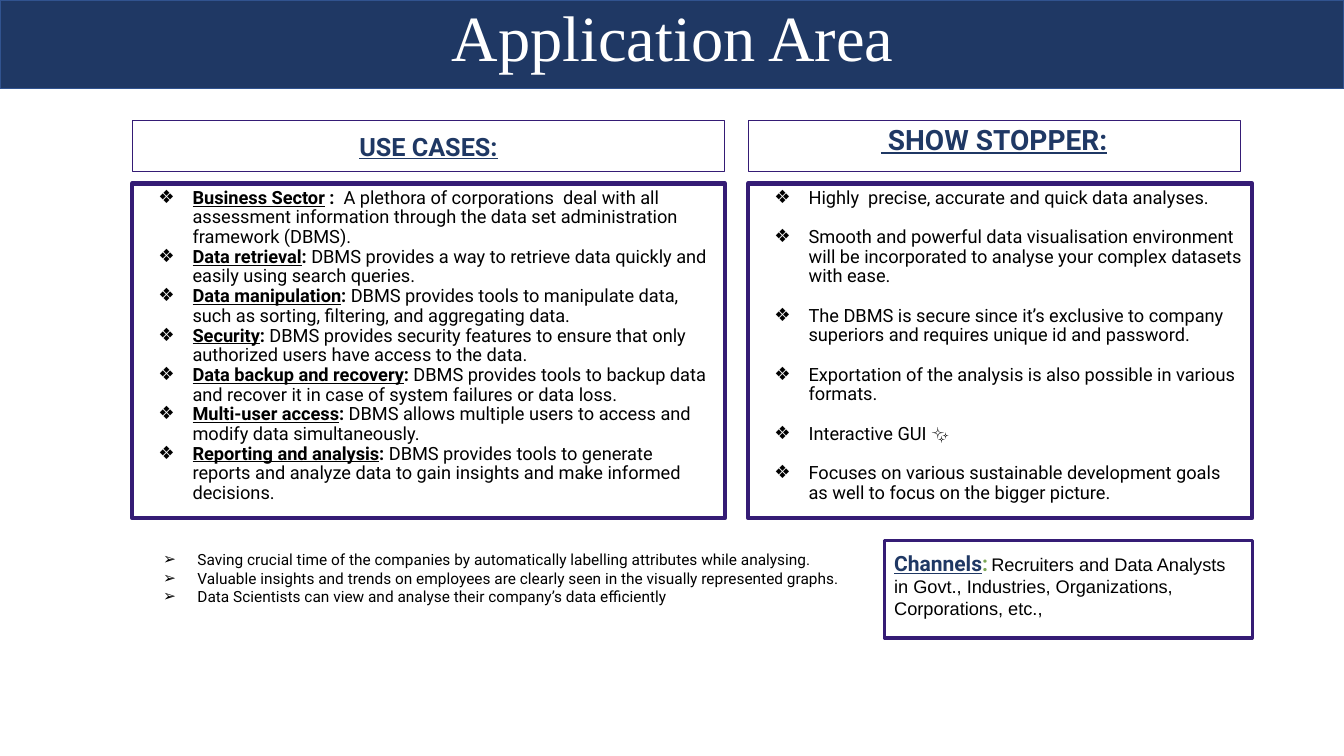
from pptx import Presentation
from pptx.dml.color import RGBColor
from pptx.enum.shapes import MSO_SHAPE
from pptx.enum.text import MSO_ANCHOR, MSO_AUTO_SIZE, PP_ALIGN
from pptx.oxml.ns import qn
from pptx.util import Inches, Pt
from lxml import etree

RECTANGLE = MSO_SHAPE.RECTANGLE
TOP, BOTTOM = MSO_ANCHOR.TOP, MSO_ANCHOR.BOTTOM
NO_FIT = MSO_AUTO_SIZE.NONE
LEFT, CENTER = PP_ALIGN.LEFT, PP_ALIGN.CENTER

THEME = {
    "navy": RGBColor(0x1F, 0x38, 0x64),
    "band_edge": RGBColor(0x31, 0x53, 0x8F),
    "purple": RGBColor(0x35, 0x1C, 0x75),
    "green": RGBColor(0x7C, 0xA6, 0x55),
    "black": RGBColor(0, 0, 0),
    "white": RGBColor(255, 255, 255),
    "title_font": "Times New Roman", "body_font": "Roboto", "plain_font": "Arial",
    "title": 46, "show_heading": 20, "use_heading": 18, "channels": 15,
    "body": 13, "benefit": 11, "gap": 8,
}


def set_box(box, left, top, width, height, inset=0.05, anchor=TOP, border=None):
    """Place a box and set its frame; border is a width in points."""
    box.left, box.top = Inches(left), Inches(top)
    box.width, box.height = Inches(width), Inches(height)
    frame = box.text_frame
    frame.word_wrap, frame.auto_size, frame.vertical_anchor = True, NO_FIT, anchor
    frame.margin_left = frame.margin_right = Inches(0.1)
    frame.margin_top = frame.margin_bottom = Inches(inset)
    if border:
        box.line.color.rgb = THEME["purple"]
        box.line.width = Pt(border)
    return frame


def style(font, size, color="black", family="body_font", bold=False, underline=False):
    font.name, font.size = THEME[family], Pt(THEME[size])
    font.color.rgb = THEME[color]
    font.bold, font.underline = bold, underline


prs = Presentation()
prs.slide_width, prs.slide_height = Inches(13.33), Inches(7.5)
slide = prs.slides.add_slide(prs.slide_layouts.get_by_name("Comparison"))
title, use_heading, use_cases, show_heading, show_stoppers = slide.placeholders

# Title on its band
band = slide.shapes.add_shape(RECTANGLE, 0, 0, prs.slide_width, Inches(0.88))
band.shadow.inherit = False
band.fill.solid()
band.fill.fore_color.rgb = THEME["navy"]
band.line.color.rgb = THEME["band_edge"]
band.line.width = Pt(1)
slide.shapes._spTree.insert(2, band._element)

title_frame = set_box(title, 0.92, 0, 11.5, 0.8, anchor=BOTTOM)
title_frame.text = "Application Area"
title_line = title_frame.paragraphs[0]
title_line.alignment, title_line.line_spacing = CENTER, 0.9
style(title_line.runs[0].font, "title", "white", "title_font")

# Column headings
for heading, left, width, inset, spacing, size, words in (
    (use_heading, 1.31, 5.88, 0.1, 1.0, "use_heading", "USE CASES:"),
    (show_heading, 7.42, 4.88, 0.05, 0.9, "show_heading", " SHOW STOPPER:"),
):
    heading_frame = set_box(heading, left, 1.2, width, 0.5, inset, border=0.75)
    heading_frame.text = words
    heading_line = heading_frame.paragraphs[0]
    heading_line.alignment, heading_line.line_spacing = CENTER, spacing
    heading_line.space_before = Pt(0)
    style(heading_line.runs[0].font, size, "navy", bold=True, underline=True)

# Lists: each item is (underlined lead, bold separator, text)
USE_CASES = [
    ("Business Sector", " :  ", "A plethora of corporations  deal with all assessment "
     "information through the data set administration framework (DBMS)."),
    ("Data retrieval", ": ", "DBMS provides a way to retrieve data quickly and easily "
     "using search queries."),
    ("Data manipulation", ": ", "DBMS provides tools to manipulate data, such as sorting, "
     "filtering, and aggregating data."),
    ("Security", ": ", "DBMS provides security features to ensure that only authorized "
     "users have access to the data."),
    ("Data backup and recovery", ": ", "DBMS provides tools to backup data and recover it "
     "in case of system failures or data loss."),
    ("Multi-user access", ": ", "DBMS allows multiple users to access and modify data "
     "simultaneously."),
    ("Reporting and analysis", ": ", "DBMS provides tools to generate reports and analyze "
     "data to gain insights and make informed decisions."),
]
SHOW_STOPPERS = [("", "", words) for words in (
    "Highly  precise, accurate and quick data analyses.",
    "Smooth and powerful data visualisation environment will be incorporated to analyse "
    "your complex datasets with ease.",
    "The DBMS is secure since it’s exclusive to company superiors and requires unique id "
    "and password.",
    "Exportation of the analysis is also possible in various formats.",
    "Interactive GUI ✨",
    "Focuses on various sustainable development goals as well to focus on the bigger picture.",
)]
BENEFITS = [("", "", words) for words in (
    "Saving crucial time of the companies by automatically labelling attributes while analysing.",
    "Valuable insights and trends on employees are clearly seen in the visually represented graphs.",
    "Data Scientists can view and analyse their company’s data efficiently",
)]

benefits = slide.shapes.add_textbox(0, 0, 0, 0)
use_frame = set_box(use_cases, 1.31, 1.82, 5.88, 3.32, border=3)
show_frame = set_box(show_stoppers, 7.42, 1.82, 5, 3.32, border=3)
benefit_frame = set_box(benefits, 1.36, 5.36, 7.41, 0.76, 0.1)

for frame, items, bullet, size, spacing, gap in (
    (use_frame, USE_CASES, "❖", "body", 0.9, 0),
    (show_frame, SHOW_STOPPERS, "❖", "body", 0.9, 14),
    (benefit_frame, BENEFITS, "➢", "benefit", 1.0, 0),
):
    for number, (lead, separator, words) in enumerate(items):
        item = frame.add_paragraph() if number else frame.paragraphs[0]
        props = item._p.get_or_add_pPr()
        props.set("marL", str(Inches(0.5)))
        props.set("indent", str(Inches(-0.34)))
        bullet_color = etree.SubElement(props, qn("a:buClr"))
        etree.SubElement(bullet_color, qn("a:srgbClr"), val=str(THEME["black"]))
        etree.SubElement(props, qn("a:buFont"), typeface=THEME["body_font"])
        etree.SubElement(props, qn("a:buChar"), char=bullet)
        item.alignment, item.line_spacing = LEFT, spacing
        item.space_before = Pt(gap if number else 0)
        for part, bold, underline in ((lead, True, True), (separator, True, False),
                                      (words, False, False)):
            if part:
                run = item.add_run()
                run.text = part
                style(run.font, size, bold=bold, underline=underline)

# Channels
channels = slide.shapes.add_textbox(0, 0, 0, 0)
channels_frame = set_box(channels, 8.77, 5.36, 3.65, 0.97, 0.1, border=2.25)
for part, size, color, family, bold, underline in (
    ("Channels", "channels", "navy", "body_font", True, True),
    (":", "channels", "green", "body_font", True, False),
    (" ", "gap", "black", "plain_font", False, False),
    ("Recruiters and Data Analysts in Govt., Industries, Organizations, Corporations, etc.,",
     "body", "black", "plain_font", False, False),
):
    run = channels_frame.paragraphs[0].add_run()
    run.text = part
    style(run.font, size, color, family, bold, underline)

prs.save("out.pptx")
